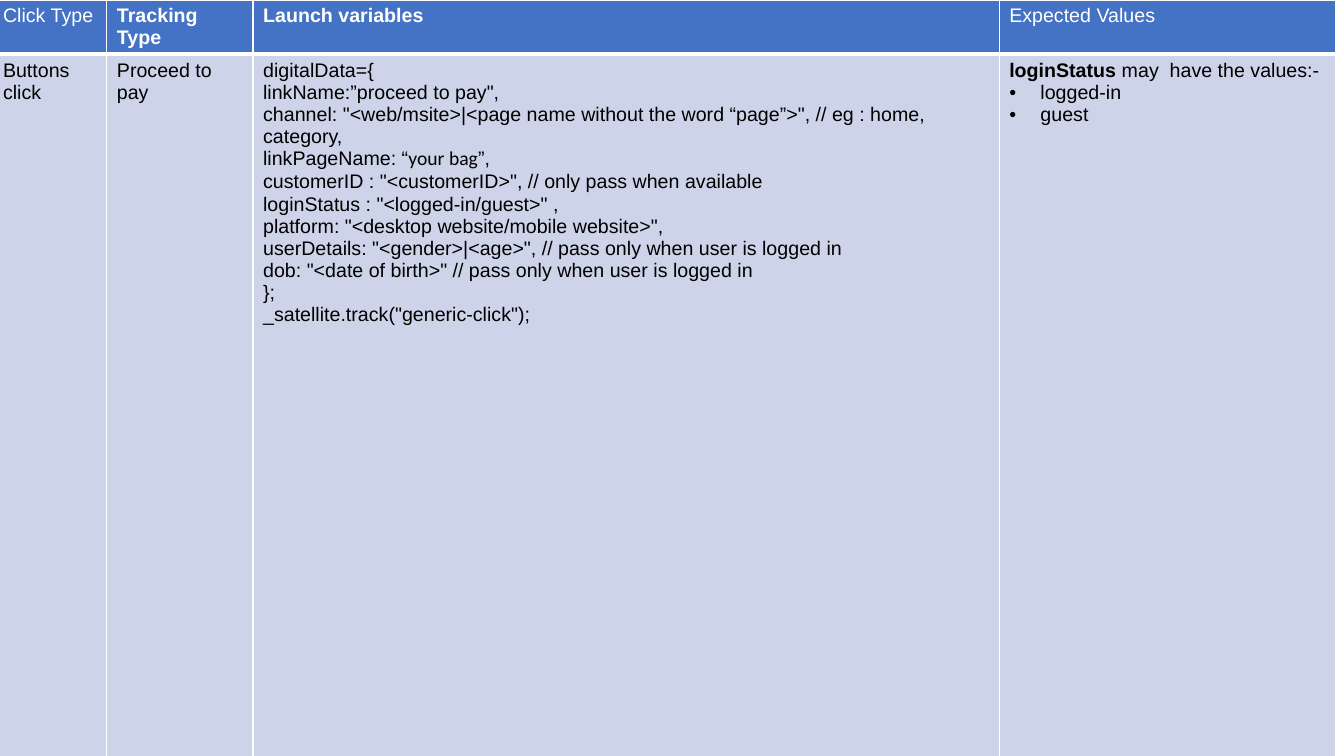
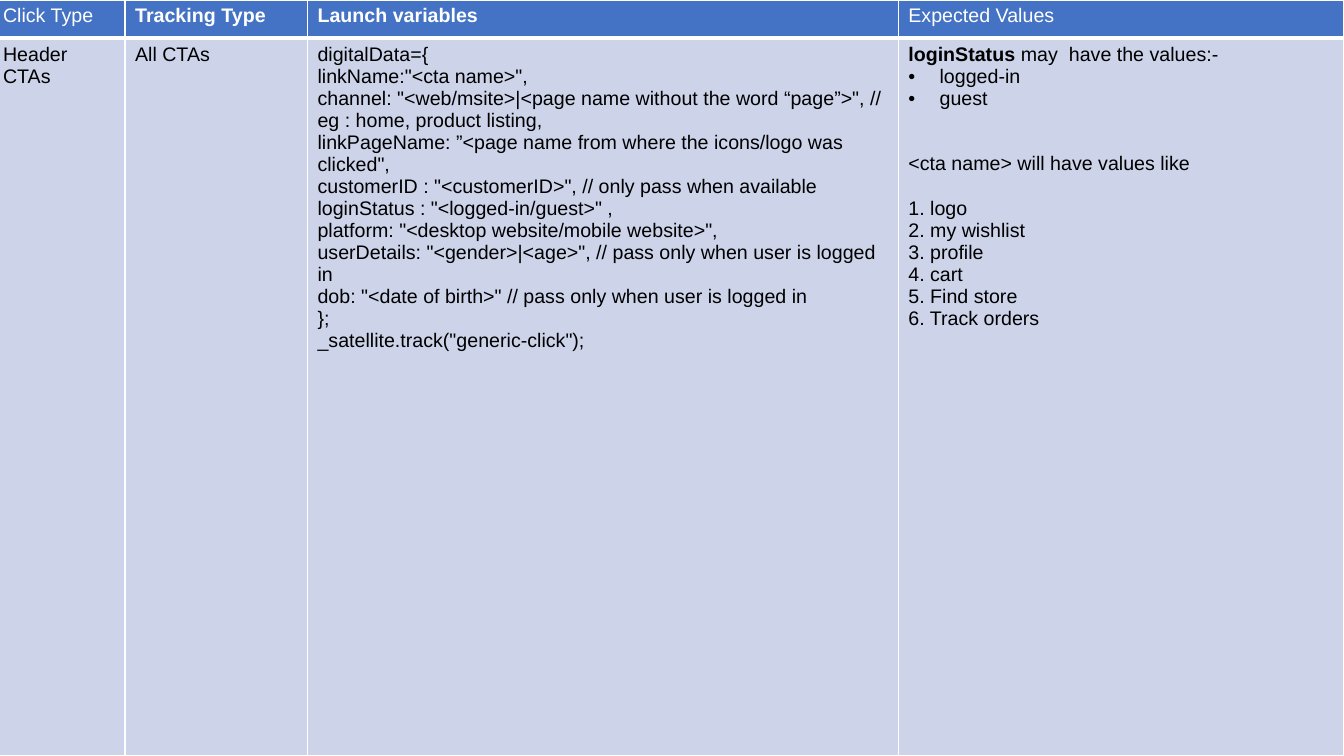
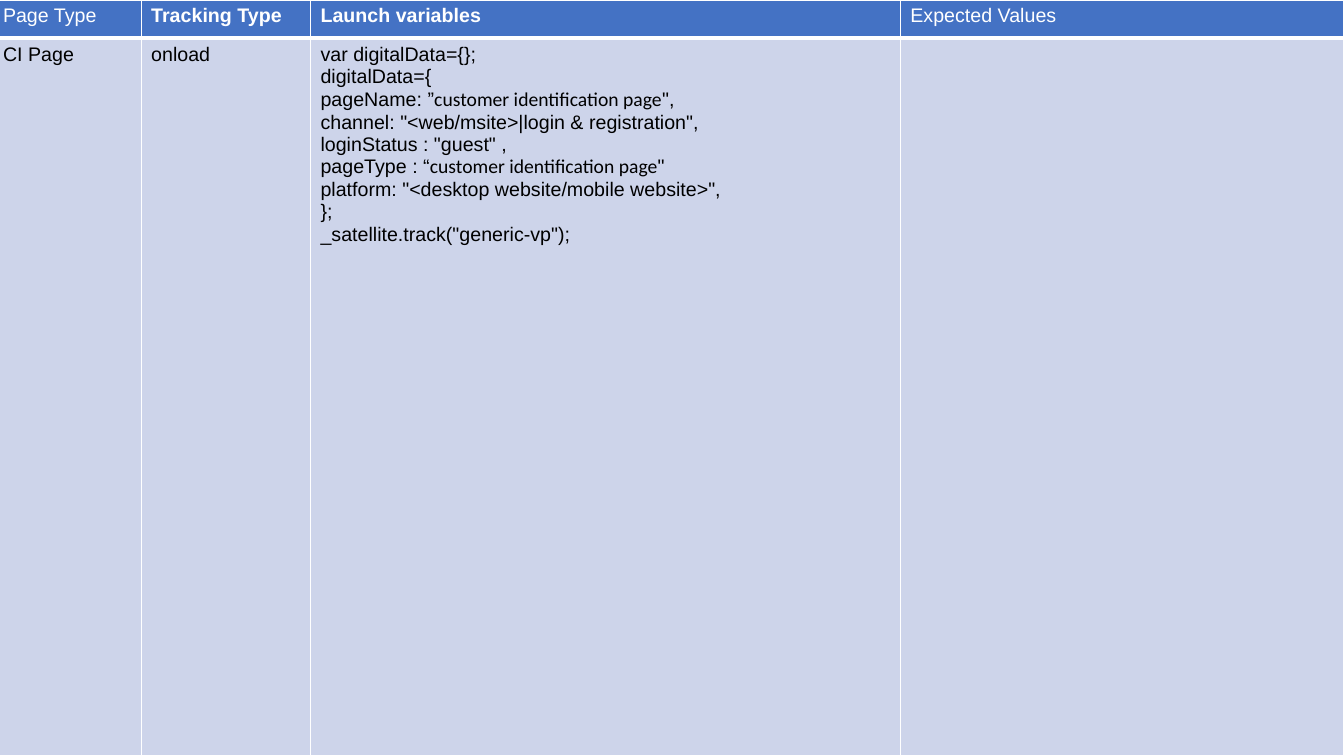
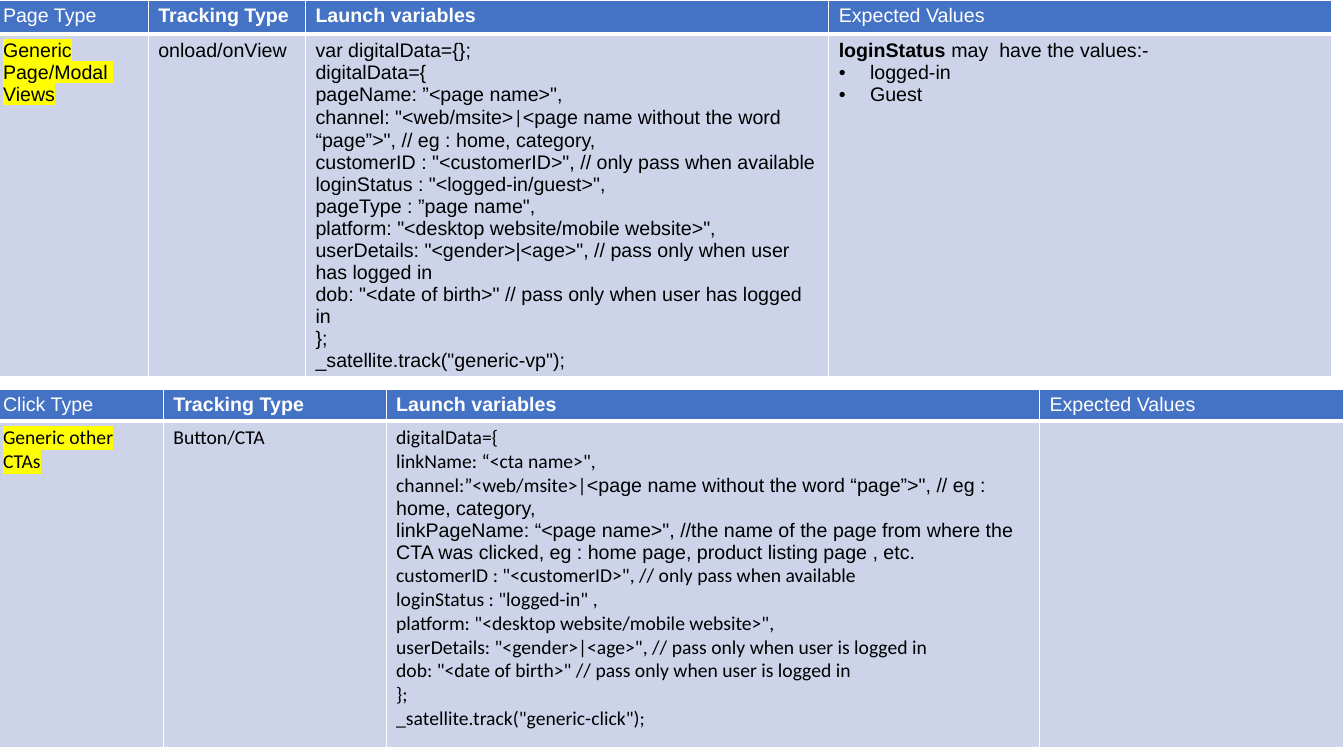
from dataclasses import dataclass

from lxml import etree
from pptx import Presentation
from pptx import util as u
from pptx.dml import color
from pptx.oxml import ns

EMU_PER_PX = 9144  # 100 px to the inch
SLIDE_WIDTH, SLIDE_HEIGHT = 1333, 750
TABLE_LEFT = -7
BULLET_INDENT = 31
TEXT_SIZE = 14
THIN_LINE, THICK_LINE = 1, 3
COLORS = {
    "header": "4472C4",
    "body": "CDD4EA",
    "border": "FFFFFF",
    "header_text": "FFFFFF",
    "body_text": "000000",
    "highlight": "FFFF00",
}


@dataclass(frozen=True)
class Span:
    text: str
    font: str = "Arial"
    bold: bool = False
    color: str = "body_text"
    highlight: bool = False


@dataclass(frozen=True)
class Line:
    spans: tuple[Span, ...]
    bullet: bool = False
    space_before: int = 0


@dataclass(frozen=True)
class TrackingTable:
    kind: str
    top: int
    columns: tuple[int, ...]
    rows: tuple[int, int]
    body: tuple[list[Line], ...]


def px(length: int) -> u.Emu:
    return u.Emu(length * EMU_PER_PX)


def rgb(name: str) -> color.RGBColor:
    return color.RGBColor.from_string(COLORS[name])


def lines(block: str, font: str = "Arial") -> list[Line]:
    """One plain paragraph for each row of the block."""
    return [Line((Span(row, font),)) for row in block.strip().split("\n")]


def highlighted(label: str, font: str = "Arial") -> list[Line]:
    return [Line((Span(label, font, highlight=True),))]


def quoted(before: str, value: str, after: str) -> Line:
    """A code line whose quoted value is set in Calibri."""
    return Line((Span(before), Span(value, "Calibri"), Span(after)))


def login_values(*values: str) -> list[Line]:
    title = Line((Span("loginStatus ", bold=True), Span("may  have the values:-")))
    return [title] + [Line((Span(value),), bullet=True) for value in values]


def user_lines(status: str, verb: str = "is", font: str = "Arial") -> list[Line]:
    return lines(f"""
loginStatus : "{status}" ,
platform: "<desktop website/mobile website>",
userDetails: "<gender>|<age>", // pass only when user {verb} logged in
dob: "<date of birth>" // pass only when user {verb} logged in""", font)


def track(event: str, font: str = "Arial") -> list[Line]:
    return lines(f'}};\n_satellite.track("{event}");', font)


CUSTOMER = 'customerID : "<customerID>", // only pass when available'
CHANNEL = 'channel: "<web/msite>|<page name without the word “page”>", // eg : home, '

PROCEED_TO_PAY = [
    *lines(f'digitalData={{\nlinkName:”proceed to pay",\n{CHANNEL}category,'),
    quoted("linkPageName: “", "your bag", "”,"),
    *lines(CUSTOMER),
    *user_lines("<logged-in/guest>"),
    *track("generic-click"),
]

HEADER_CTAS = [
    *lines(f"""
digitalData={{
linkName:"<cta name>",
{CHANNEL}product listing,
linkPageName: ”<page name from where the icons/logo was clicked",
{CUSTOMER}"""),
    *user_lines("<logged-in/guest>"),
    *track("generic-click"),
]

CTA_VALUES = [
    *login_values("logged-in", "guest"),
    Line((Span("<cta name> will have values like"),), space_before=31),
    Line((Span("1. logo"),), space_before=16),
    *lines("2. my wishlist\n3. profile\n4. cart\n5. Find store\n6. Track orders"),
]

CI_PAGE = [
    *lines("var digitalData={};\ndigitalData={"),
    quoted("pageName: ”", "customer identification page", '",'),
    *lines('channel: "<web/msite>|login & registration",\nloginStatus : "guest" ,'),
    quoted("pageType : “", "customer identification page", '"'),
    *lines('platform: "<desktop website/mobile website>",'),
    *track("generic-vp"),
]

GENERIC_VIEWS = [
    *lines('var digitalData={};\ndigitalData={\npageName: ”<page name>",'),
    quoted('channel: "<web/msite>', "|",
           '<page name without the word “page”>", // eg : home, category,'),
    *lines(f'{CUSTOMER}\nloginStatus : "<logged-in/guest>",\npageType : ”page name",'),
    *user_lines("", "has")[1:],
    *track("generic-vp"),
]

GENERIC_CTAS = [
    *lines('digitalData={\nlinkName: “<cta name>",', "Calibri"),
    Line((Span("channel:”<web/msite>|", "Calibri"),
          Span('<page name without the word “page”>", // eg : home, category,'))),
    *lines('linkPageName: “<page name>", //the name of the page from where the CTA '
           'was clicked, eg : home page, product listing page , etc.'),
    *lines(CUSTOMER, "Calibri"),
    *user_lines("logged-in", font="Calibri"),
    *track("generic-click", "Calibri"),
]

SLIDES = [
    [TrackingTable("Click Type", 0, (113, 145, 740, 334), (38, 712), (
        lines("Buttons click"), lines("Proceed to pay"), PROCEED_TO_PAY,
        login_values("logged-in", "guest")))],
    [TrackingTable("Click Type", 0, (131, 181, 586, 442), (38, 712), (
        lines("Header CTAs"), lines("All CTAs"), HEADER_CTAS, CTA_VALUES))],
    [TrackingTable("Page Type", 0, (147, 168, 585, 440), (38, 712), (
        lines("CI Page"), lines("onload"), CI_PAGE, []))],
    [
        TrackingTable("Page Type", 0, (154, 156, 519, 499), (34, 337), (
            highlighted("Generic Page/Modal  Views"), lines("onload/onView"),
            GENERIC_VIEWS, login_values("logged-in", "Guest"))),
        TrackingTable("Click Type", 386, (169, 221, 648, 302), (17, 324), (
            highlighted("Generic other CTAs", "Calibri"),
            lines("Button/CTA", "Calibri"), GENERIC_CTAS, [])),
    ],
]


def header_cells(kind: str) -> list[list[Line]]:
    labels = {kind: False, "Tracking Type": True, "Launch variables": True,
              "Expected Values": False}
    return [[Line((Span(label, bold=bold, color="header_text"),))]
            for label, bold in labels.items()]


def add_bullet(paragraph) -> None:
    properties = paragraph._p.get_or_add_pPr()
    properties.set("marL", str(px(BULLET_INDENT)))
    properties.set("indent", str(px(-BULLET_INDENT)))
    etree.SubElement(properties, ns.qn("a:buFont"), typeface="Arial")
    etree.SubElement(properties, ns.qn("a:buChar"), char="•")


def add_highlight(run) -> None:
    """Put the marker colour right after the text fill, as the schema asks."""
    highlight = etree.Element(ns.qn("a:highlight"))
    etree.SubElement(highlight, ns.qn("a:srgbClr"), val=COLORS["highlight"])
    run._r.rPr.find(ns.qn("a:solidFill")).addnext(highlight)


def write_line(paragraph, line: Line) -> None:
    if line.bullet:
        add_bullet(paragraph)
    if line.space_before:
        paragraph.space_before = u.Pt(line.space_before)
    for span in line.spans:
        run = paragraph.add_run()
        run.text = span.text
        run.font.size = u.Pt(TEXT_SIZE)
        run.font.name = span.font
        run.font.bold = span.bold
        run.font.color.rgb = rgb(span.color)
        if span.highlight:
            add_highlight(run)


def set_borders(cell, top: int, bottom: int) -> None:
    properties = cell._tc.get_or_add_tcPr()
    widths = {"lnL": THIN_LINE, "lnR": THIN_LINE, "lnT": top, "lnB": bottom}
    for side, width in widths.items():
        border = etree.SubElement(properties, ns.qn(f"a:{side}"), w=str(u.Pt(width)))
        fill = etree.SubElement(border, ns.qn("a:solidFill"))
        etree.SubElement(fill, ns.qn("a:srgbClr"), val=COLORS["border"])


def fill_cell(cell, content: list[Line], is_header: bool) -> None:
    if is_header:
        set_borders(cell, THIN_LINE, THICK_LINE)
    else:
        set_borders(cell, THICK_LINE, THIN_LINE)
    cell.fill.solid()
    cell.fill.fore_color.rgb = rgb("header" if is_header else "body")
    frame = cell.text_frame
    for index, line in enumerate(content):
        write_line(frame.add_paragraph() if index else frame.paragraphs[0], line)


def add_tracking_table(page, item: TrackingTable) -> None:
    table = page.shapes.add_table(
        len(item.rows), len(item.columns), px(TABLE_LEFT), px(item.top),
        px(sum(item.columns)), px(sum(item.rows))).table
    table.horz_banding = False
    for column, width in zip(table.columns, item.columns):
        column.width = px(width)
    for row, height in zip(table.rows, item.rows):
        row.height = px(height)
    for row_index, contents in enumerate((header_cells(item.kind), item.body)):
        for column_index, content in enumerate(contents):
            fill_cell(table.cell(row_index, column_index), content, row_index == 0)


def main() -> None:
    deck = Presentation()
    deck.slide_width, deck.slide_height = px(SLIDE_WIDTH), px(SLIDE_HEIGHT)
    blank = deck.slide_layouts[6]
    for tables in SLIDES:
        page = deck.slides.add_slide(blank)
        for item in tables:
            add_tracking_table(page, item)
    deck.save("out.pptx")


if __name__ == "__main__":
    main()
